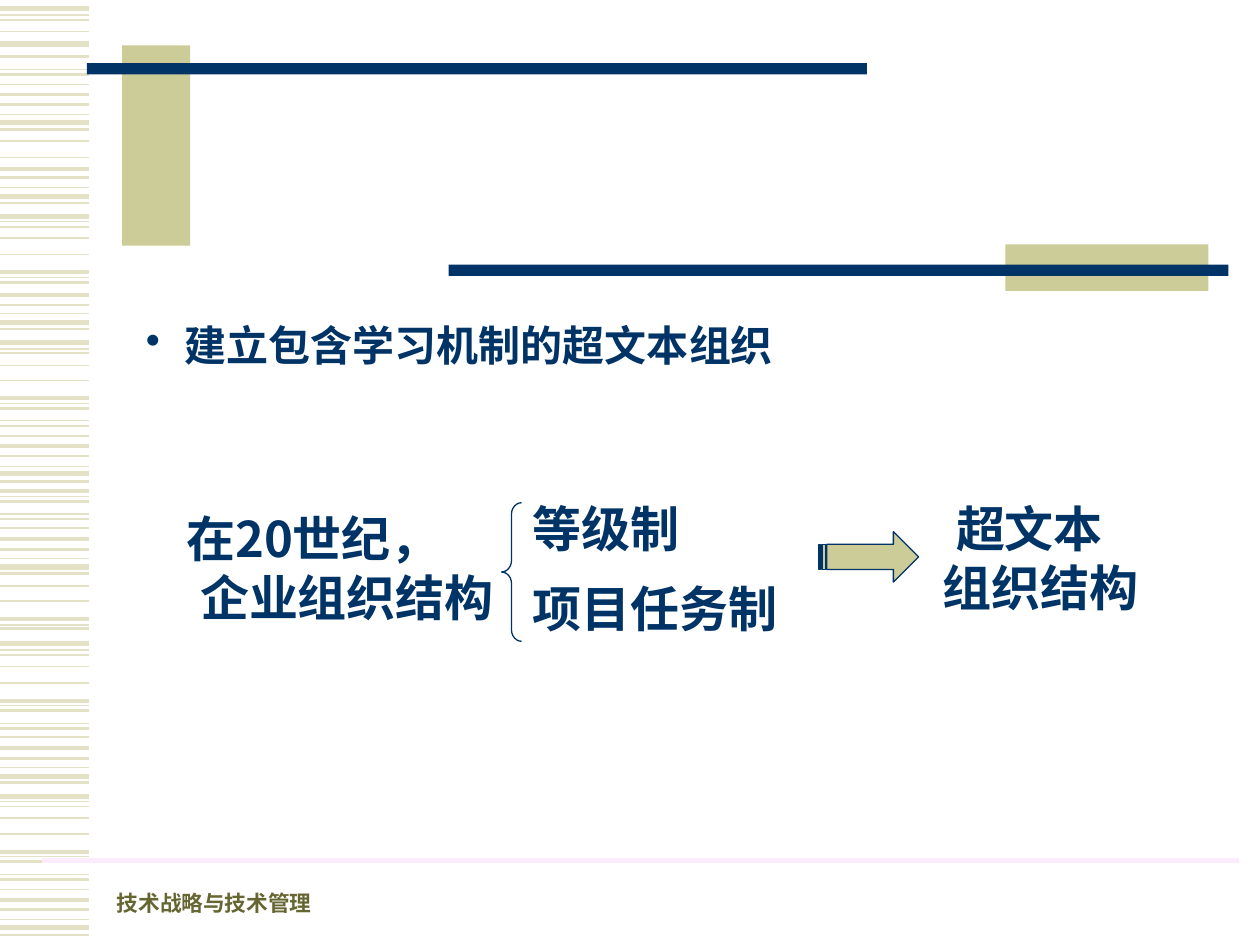
from dataclasses import dataclass

from lxml.etree import SubElement
from pptx import Presentation
from pptx.dml.color import RGBColor
from pptx.enum.shapes import MSO_CONNECTOR as Connector, MSO_SHAPE as Shape
from pptx.enum.text import MSO_ANCHOR as Anchor
from pptx.oxml.ns import qn
from pptx.util import Inches, Pt


@dataclass(frozen=True)
class Theme:
    navy: str = "003366"
    khaki: str = "CCCC99"
    stripe: str = "E3E2C7"
    pink: str = "FBEBFB"
    olive: str = "666633"
    latin: str = "Times New Roman"
    chinese: str = "Noto Sans CJK SC"
    footer_size: float = 12.4
    bullet_size: float = 24
    body_size: float = 28


class SlideBuilder:
    def __init__(self, page, theme):
        self.page = page
        self.theme = theme

    def line(self, left, right, y, color, weight):
        line = self.page.shapes.add_connector(
            Connector.STRAIGHT, Inches(left), Inches(y), Inches(right), Inches(y))
        line.line.color.rgb = RGBColor.from_string(color)
        line.line.width = Pt(weight)
        SubElement(line._element.spPr, qn("a:effectLst"))

    def shape(self, kind, bounds, fill=None, outline=None):
        shape = self.page.shapes.add_shape(kind, *map(Inches, bounds))
        shape.shadow.inherit = False
        if fill:
            shape.fill.solid()
            shape.fill.fore_color.rgb = RGBColor.from_string(fill)
        else:
            shape.fill.background()
        if outline:
            shape.line.color.rgb = RGBColor.from_string(outline)
            shape.line.width = Pt(0.75)
        else:
            shape.line.fill.background()
        return shape

    def text(self, bounds, lines, size, color, latin=None,
             margins=(0,), bullet=False, anchor=Anchor.TOP):
        box = self.page.shapes.add_textbox(*map(Inches, bounds))
        frame = box.text_frame
        frame.word_wrap = True
        frame.vertical_anchor = anchor
        for index, (words, margin) in enumerate(zip(lines, margins)):
            para = frame.add_paragraph() if index else frame.paragraphs[0]
            para.text = words
            properties = para._p.get_or_add_pPr()
            properties.set("marL", str(Inches(margin)))
            properties.set("indent", str(-Inches(margin) if bullet else 0))
            if bullet:
                tint = SubElement(properties, qn("a:buClr"))
                SubElement(tint, qn("a:srgbClr"), val=color)
                SubElement(properties, qn("a:buChar"), char="•")
            font = para.font
            font.size = Pt(size)
            font.bold = True
            font.color.rgb = RGBColor.from_string(color)
            font.name = latin or self.theme.latin
            SubElement(font._element, qn("a:ea"), typeface=self.theme.chinese)


STRIPES = {
    0.75: (0.12, 0.55, 0.91, 1.49, 1.76, 2.2, 2.49, 2.77, 3.2, 3.34, 3.7, 3.94,
           4.08, 4.43, 4.96, 5.16, 5.6, 5.74, 6.09, 6.36, 6.8, 6.94, 7.3),
    1: (0.16, 0.25, 0.67, 1.12, 1.25, 1.8, 1.89, 2.02, 2.8, 2.9, 3.02, 3.46,
        4.19, 4.65, 4.77, 5.2, 5.29, 5.42, 5.85, 6.4, 6.49, 6.62, 7.06),
    1.5: (0.45, 0.59, 0.83, 1.03, 1.41, 1.61, 2.24, 2.42, 2.61, 3.24, 3.38,
          3.62, 3.82, 3.98, 4.12, 4.36, 4.55, 4.99, 5.64, 5.78, 6.02, 6.21,
          6.84, 6.98, 7.22, 7.42),
    2.25: (0.75, 1.34, 2.16, 2.34, 3.16, 3.54, 3.9, 4.28, 4.91, 5.56, 5.94,
           6.76, 7.14),
    3: (0.07, 0.35, 0.97, 1.56, 1.72, 2.56, 2.72, 3.76, 4.5, 5.11, 6.16, 6.32,
        7.36),
}


def draw_background(slide):
    theme = slide.theme
    for weight, heights in STRIPES.items():
        for y in heights:
            slide.line(0, 0.71, y, theme.stripe, weight)
    for block, bar in (
        ((0.97, 0.36, 0.54, 1.59), (0.69, 0.5, 6.19, 0.09)),
        ((7.98, 1.94, 1.61, 0.37), (3.56, 2.1, 6.19, 0.09)),
    ):
        slide.shape(Shape.RECTANGLE, block, theme.khaki)
        slide.shape(Shape.RECTANGLE, bar, theme.navy)
    slide.line(0.33, 9.83, 6.83, theme.pink, 3)
    slide.text((0.83, 6.98, 2.6, 0.34), ["技术战略与技术管理"],
               theme.footer_size, theme.olive, anchor=Anchor.BOTTOM)


def draw_content(slide):
    theme = slide.theme
    slide.text((1.06, 2.49, 5.51, 0.5), ["建立包含学习机制的超文本组织"],
               theme.bullet_size, theme.navy, margins=(0.31,), bullet=True)
    slide.text((1.38, 3.99, 2.68, 1.04), ["在20世纪，", "企业组织结构"],
               theme.body_size, theme.navy, theme.chinese, margins=(0, 0.11))
    slide.text((4.13, 3.91, 1.65, 0.57), ["等级制"],
               theme.body_size, theme.navy)
    slide.text((4.13, 4.54, 2.2, 0.57), ["项目任务制"],
               theme.body_size, theme.navy)
    slide.shape(Shape.STRIPED_RIGHT_ARROW, (6.5, 4.22, 0.79, 0.4),
                theme.khaki, theme.navy)
    slide.text((7.28, 3.91, 1.97, 1.04), ["超文本", "组织结构"],
               theme.body_size, theme.navy, margins=(0.21, 0.1))
    brace = slide.shape(Shape.LEFT_BRACE, (3.98, 3.99, 0.16, 1.1),
                        outline=theme.navy)
    brace.adjustments[0] = 0.57


def main():
    deck = Presentation()
    deck.slide_width = Inches(10)
    deck.slide_height = Inches(7.5)
    page = deck.slides.add_slide(deck.slide_layouts[6])
    slide = SlideBuilder(page, Theme())
    draw_background(slide)
    draw_content(slide)
    deck.save("out.pptx")


if __name__ == "__main__":
    main()
